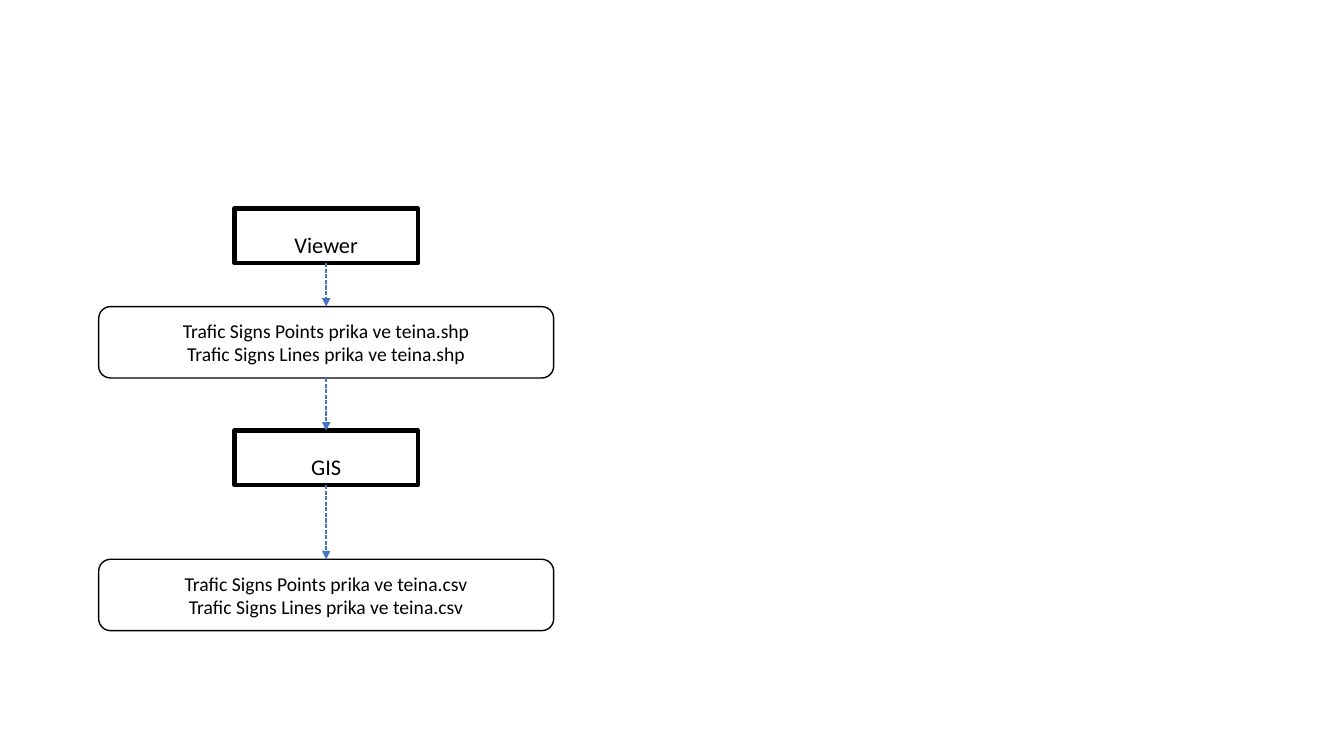
from dataclasses import dataclass
from itertools import pairwise

from lxml.etree import SubElement
from pptx import Presentation
from pptx.dml.color import RGBColor
from pptx.enum.dml import MSO_LINE
from pptx.enum.shapes import MSO_CONNECTOR, MSO_SHAPE
from pptx.enum.text import MSO_ANCHOR, PP_ALIGN
from pptx.oxml.ns import qn
from pptx.util import Pt


@dataclass(frozen=True)
class Theme:
    font: str = "Calibri"
    ink: RGBColor = RGBColor(0, 0, 0)
    arrow: RGBColor = RGBColor(0x44, 0x72, 0xC4)
    tool_size: int = 16
    file_size: int = 14


THEME = Theme()
FLOW_CENTER = 233
BOTTOM, TOP = 2, 0


def add_box(page, kind, top, width, height, lines, size, border, anchor):
    """Add an outlined box centred on the flow, one paragraph per line."""
    box = page.shapes.add_shape(
        kind, Pt(FLOW_CENTER - width / 2), Pt(top), Pt(width), Pt(height)
    )
    box.shadow.inherit = False
    box.fill.background()
    box.line.color.rgb = THEME.ink
    box.line.width = Pt(border)
    frame = box.text_frame
    frame.word_wrap = True
    frame.vertical_anchor = anchor
    frame.text = "\n".join(lines)
    for para in frame.paragraphs:
        para.alignment = PP_ALIGN.CENTER
        for span in para.runs:
            span.font.name = THEME.font
            span.font.size = Pt(size)
            span.font.color.rgb = THEME.ink
    return box


def add_tool(page, top, name):
    return add_box(page, MSO_SHAPE.RECTANGLE, top, 131, 39, [name],
                   THEME.tool_size, 3, MSO_ANCHOR.BOTTOM)


def add_files(page, top, extension):
    lines = [f"Trafic Signs {kind} prika ve teina.{extension}"
             for kind in ("Points", "Lines")]
    return add_box(page, MSO_SHAPE.ROUNDED_RECTANGLE, top, 325, 51, lines,
                   THEME.file_size, 1, MSO_ANCHOR.MIDDLE)


def add_arrow(page, upper, lower):
    arrow = page.shapes.add_connector(MSO_CONNECTOR.STRAIGHT, 0, 0, 0, 0)
    arrow.begin_connect(upper, BOTTOM)
    arrow.end_connect(lower, TOP)
    arrow.line.color.rgb = THEME.arrow
    arrow.line.width = Pt(1)
    arrow.line.dash_style = MSO_LINE.SQUARE_DOT
    properties = arrow.element.spPr
    SubElement(properties.find(qn("a:ln")), qn("a:tailEnd"), type="triangle")
    SubElement(properties, qn("a:effectLst"))


def main():
    deck = Presentation()
    deck.slide_width, deck.slide_height = Pt(960), Pt(540)
    page = deck.slides.add_slide(deck.slide_layouts[6])
    steps = [
        add_tool(page, 149, "Viewer"),
        add_files(page, 219, "shp"),
        add_tool(page, 307.5, "GIS"),
        add_files(page, 399.5, "csv"),
    ]
    for upper, lower in pairwise(steps):
        add_arrow(page, upper, lower)
    deck.save("out.pptx")


if __name__ == "__main__":
    main()
